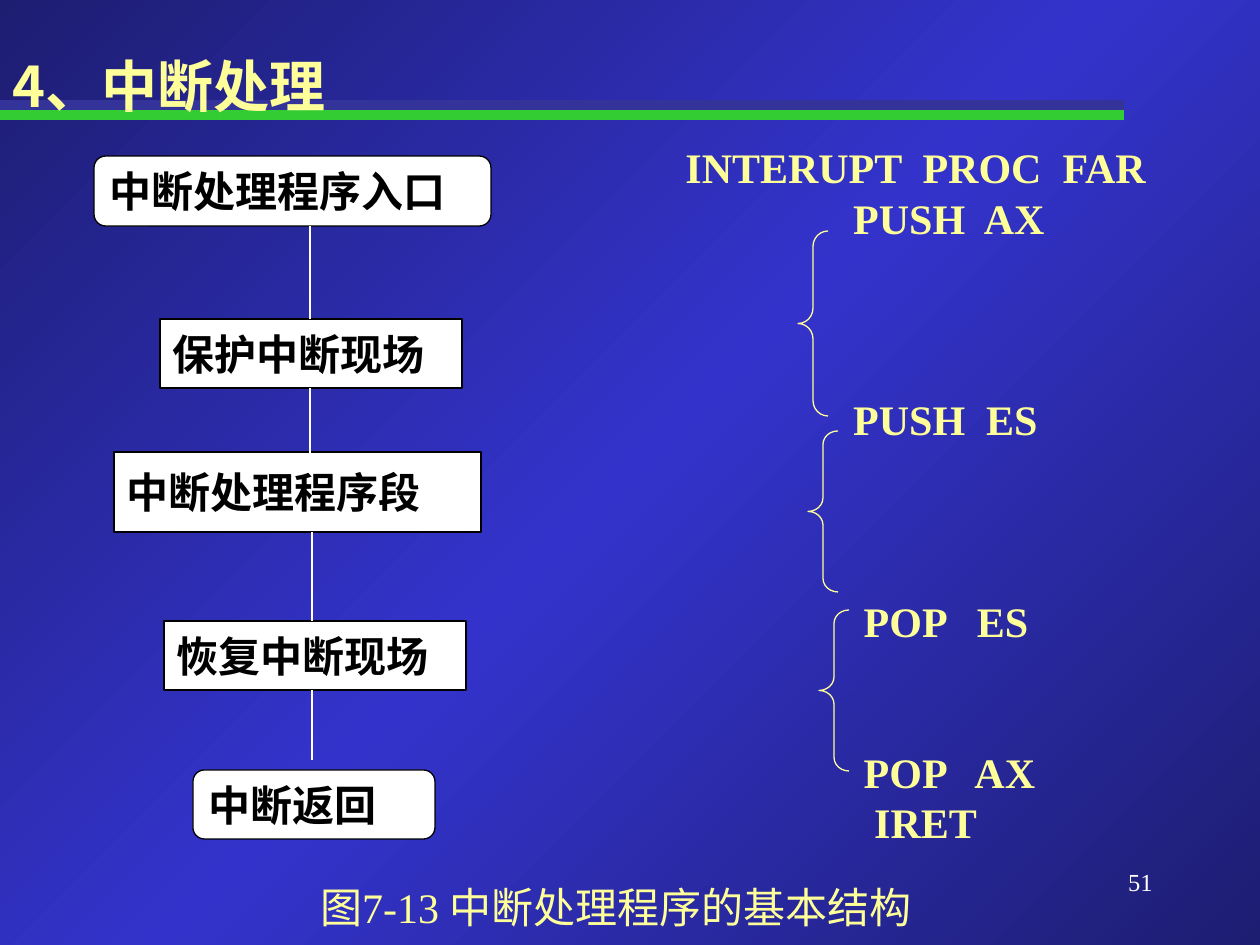
from copy import deepcopy

from lxml import etree
from pptx import Presentation
from pptx import util as u
from pptx.dml.color import RGBColor
from pptx.enum import shapes, text
from pptx.oxml.ns import qn

LATIN, CJK = "Times New Roman", "Noto Sans CJK SC"
WHITE, BLACK, YELLOW = "FFFFFF", "000000", "FFFF99"
LINE_PITCH = 28.8
ROUND = shapes.MSO_SHAPE.FLOWCHART_ALTERNATE_PROCESS
RECT = shapes.MSO_SHAPE.RECTANGLE


def px(n):
    return u.Emu(round(n * 914400 / 126))


def rgb(value):
    return RGBColor.from_string(value)


def set_background(slide):
    fill = slide.background.fill
    fill.gradient()
    stops = slide.element.find(".//" + qn("a:gsLst"))
    stops.append(deepcopy(stops[-1]))
    colours = ("1D1D72", "3333CC", "1D1D72")
    for stop, pos, colour in zip(fill.gradient_stops, (0, 0.5, 1), colours):
        stop.position = pos
        stop.color.rgb = rgb(colour)
    fill.gradient_angle = 315


def add_run(p, words, size, colour, bold=False, font=LATIN):
    r = p.add_run()
    r.text = words
    r.font.size = u.Pt(size)
    r.font.bold = bold
    r.font.name = font
    r.font.color.rgb = rgb(colour)
    ea = etree.SubElement(r.font._element, qn("a:ea"))
    ea.set("typeface", CJK)


def add_textbox(slide, box, anchor):
    tf = slide.shapes.add_textbox(*map(px, box)).text_frame
    tf.word_wrap = True
    tf.vertical_anchor = anchor
    return tf


def add_label(slide, box, words, size, colour, align, anchor):
    p = add_textbox(slide, box, anchor).paragraphs[0]
    p.alignment = align
    add_run(p, words, size, colour)


def add_line(slide, x1, y1, x2, y2, colour, width=0.75):
    line = slide.shapes.add_connector(
        shapes.MSO_CONNECTOR.STRAIGHT, px(x1), px(y1), px(x2), px(y2))
    line.line.color.rgb = rgb(colour)
    line.line.width = u.Pt(width)
    etree.SubElement(line._element.spPr, qn("a:effectLst"))


def add_outlined(slide, kind, box, colour):
    sp = slide.shapes.add_shape(kind, *map(px, box))
    sp.shadow.inherit = False
    sp.line.color.rgb = rgb(colour)
    sp.line.width = u.Pt(0.75)
    return sp


def add_step(slide, kind, box, words):
    sp = add_outlined(slide, kind, box, BLACK)
    sp.fill.solid()
    sp.fill.fore_color.rgb = rgb(WHITE)
    tf = sp.text_frame
    tf.word_wrap = True
    tf.vertical_anchor = text.MSO_ANCHOR.MIDDLE
    p = tf.paragraphs[0]
    p.alignment = text.PP_ALIGN.JUSTIFY
    add_run(p, words, 24, BLACK, True)


def add_brace(slide, box, curve):
    sp = add_outlined(slide, shapes.MSO_SHAPE.LEFT_BRACE, box, YELLOW)
    sp.fill.background()
    sp.adjustments[0] = curve
    sp.adjustments[1] = 0.5


def add_code(slide, box, lines):
    tf = add_textbox(slide, box, text.MSO_ANCHOR.MIDDLE)
    for i, (skipped, words) in enumerate(lines):
        p = tf.add_paragraph() if i else tf.paragraphs[0]
        p.alignment = text.PP_ALIGN.JUSTIFY
        p.line_spacing = u.Pt(LINE_PITCH)
        if skipped:
            p.space_before = u.Pt(skipped * LINE_PITCH)
        add_run(p, words, 24, YELLOW, True)


def place_title(slide, box, words):
    sp = slide.shapes.title
    sp.left, sp.top, sp.width, sp.height = map(px, box)
    slide.shapes._spTree.append(sp._element)
    tf = sp.text_frame
    tf.vertical_anchor = text.MSO_ANCHOR.TOP
    p = tf.paragraphs[0]
    p.alignment = text.PP_ALIGN.LEFT
    add_run(p, words, 32, YELLOW, True, CJK)


def main():
    prs = Presentation()
    prs.slide_width, prs.slide_height = u.Inches(10), u.Inches(7.5)
    slide = prs.slides.add_slide(prs.slide_layouts[5])
    set_background(slide)

    for y, colour in ((115, "33CC33"), (105, "333399")):
        add_line(slide, 0, y, 1124, y, colour, 5.5)
    add_label(slide, (903, 861, 262, 63), "51", 14, WHITE,
              text.PP_ALIGN.RIGHT, text.MSO_ANCHOR.TOP)

    for kind, box, words in (
        (ROUND, (94, 156, 397, 70), "中断处理程序入口"),
        (RECT, (160, 319, 302, 69), "保护中断现场"),
        (RECT, (114, 452, 367, 80), "中断处理程序段"),
        (RECT, (164, 621, 302, 69), "恢复中断现场"),
        (ROUND, (193, 770, 242, 69), "中断返回"),
    ):
        add_step(slide, kind, box, words)
    for x, top, bottom in ((310, 226, 319), (310, 388, 453),
                           (312, 532, 621), (312, 690, 760)):
        add_line(slide, x, top, x, bottom, WHITE)

    add_code(slide, (673, 160, 513, 669), (
        (0, "INTERUPT  PROC  FAR"),
        (0, "                PUSH  AX"),
        (3, "                PUSH  ES"),
        (3, "                 POP   ES"),
        (2, "                 POP   AX"),
        (0, "                  IRET"),
    ))
    for box, curve in (((798, 231, 30, 185), 0.51),
                       ((808, 431, 30, 161), 0.45),
                       ((819, 610, 30, 161), 0.45)):
        add_brace(slide, box, curve)

    add_label(slide, (44, 868, 1144, 77), "图7-13 中断处理程序的基本结构", 24,
              YELLOW, text.PP_ALIGN.CENTER, text.MSO_ANCHOR.MIDDLE)
    place_title(slide, (0, 45, 1207, 79), "4、中断处理")
    prs.save("out.pptx")


if __name__ == "__main__":
    main()
